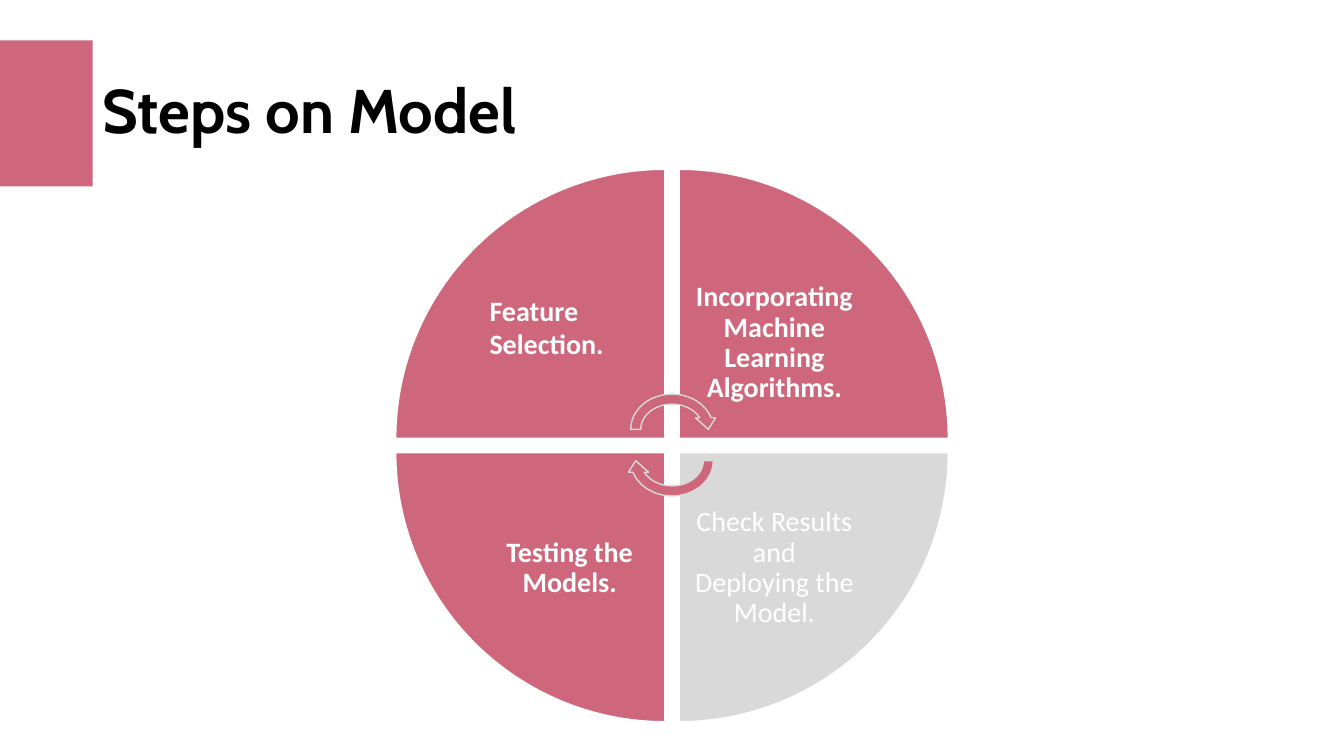
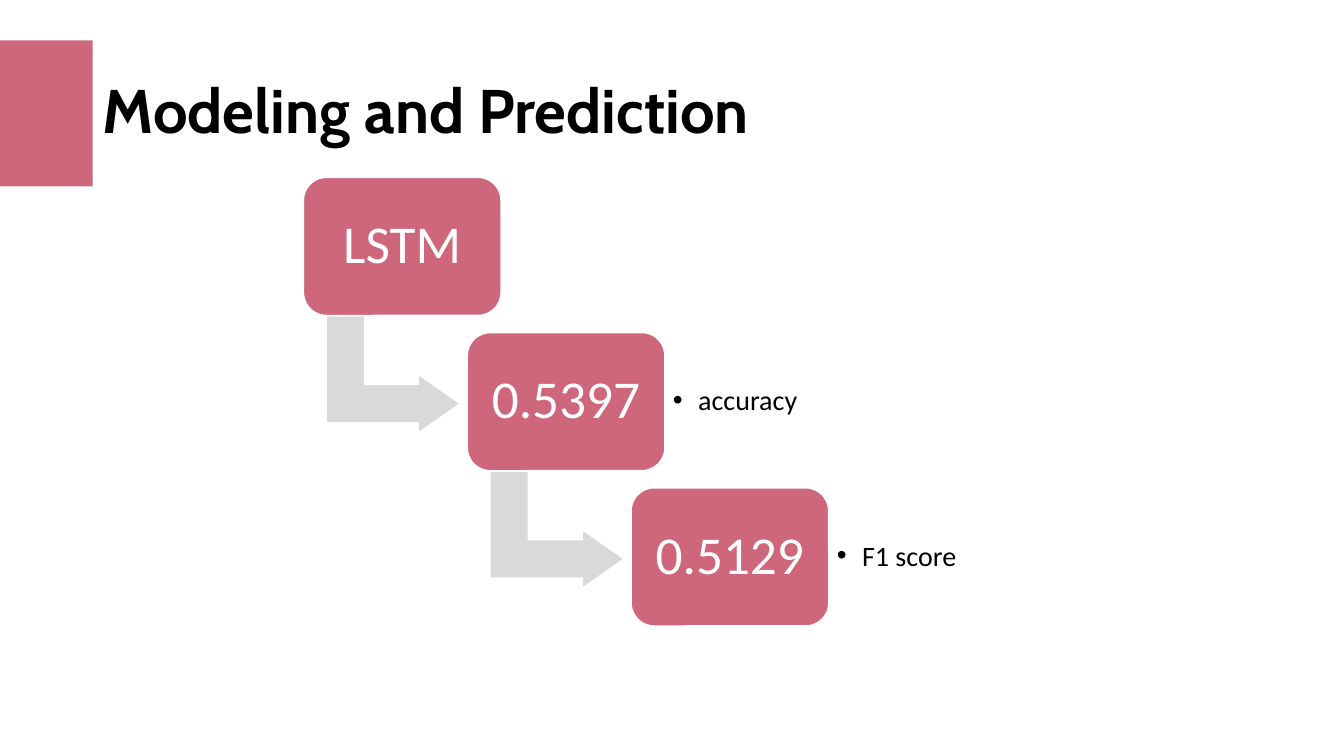
from pptx import Presentation
from pptx.dml.color import RGBColor
from pptx.enum.shapes import MSO_SHAPE as SHAPE
from pptx.enum.text import MSO_ANCHOR as ANCHOR, PP_ALIGN as ALIGN
from pptx.oxml.ns import qn
from pptx.util import Inches, Pt
from lxml.etree import SubElement

ROSE = RGBColor(0xCE, 0x67, 0x7C)
GREY = RGBColor(0xD9, 0xD9, 0xD9)
WHITE = RGBColor(0xFF, 0xFF, 0xFF)
BLACK = RGBColor(0, 0, 0)

WIDE, HIGH = 13.33, 7.5
BAND_TOP, BAND_HIGH, BAND_WIDE = 0.4, 1.45, 0.92

HEAD = {"name": "Cabin", "size": Pt(44), "bold": True}
BOLD = {"name": "Calibri", "size": Pt(20), "bold": True}
BODY = {"name": "Calibri", "size": Pt(20)}
BIG = {"name": "Calibri", "size": Pt(38)}


def draw(slide, kind, box, fill, line=None, turn=0):
    shape = slide.shapes.add_shape(kind, *map(Inches, box))
    shape.shadow.inherit = False
    shape.rotation = turn
    shape.fill.solid()
    shape.fill.fore_color.rgb = fill
    if line is None:
        shape.line.fill.background()
    else:
        shape.line.color.rgb = line
        shape.line.width = Pt(1)
    return shape


def write(shape, text, form, ink, align=ALIGN.CENTER, pads=(0.1, 0.05, 0.1, 0.05), space=0.9, mark=None):
    """Fill a shape with one paragraph; pads run left, top, right, bottom."""
    frame = shape.text_frame
    frame.word_wrap = True
    frame.vertical_anchor = ANCHOR.MIDDLE
    for side, pad in zip(("left", "top", "right", "bottom"), pads):
        setattr(frame, f"margin_{side}", Inches(pad))
    para = frame.paragraphs[0]
    para.alignment = align
    para.line_spacing = space
    if mark:
        props = para._p.get_or_add_pPr()
        props.set("marL", str(Inches(0.25)))
        props.set("indent", str(-Inches(0.25)))
        SubElement(props, qn("a:buFont"), typeface="Arial")
        SubElement(props, qn("a:buChar"), char=mark)
    run = para.add_run()
    run.text = text
    for key, value in form.items():
        setattr(run.font, key, value)
    run.font.color.rgb = ink


deck = Presentation()
deck.slide_width, deck.slide_height = Inches(WIDE), Inches(HIGH)

# Both slides: title and side band
slides = []
for title in ("Steps on Model", "Modeling and Prediction"):
    slide = deck.slides.add_slide(deck.slide_layouts[6])
    box = slide.shapes.add_textbox(*map(Inches, (BAND_WIDE, BAND_TOP, 11.5, BAND_HIGH)))
    write(box, title, HEAD, BLACK, ALIGN.LEFT)
    draw(slide, SHAPE.RECTANGLE, (0, BAND_TOP, BAND_WIDE, BAND_HIGH), ROSE)
    slides.append(slide)
steps, model = slides

# Wheel of four wedges around a centre
MID_X, MID_Y = WIDE / 2, 4.42
WEDGE, LABEL, HALF_GAP = 2.67, 1.89, 0.07
EVEN, LOW, RAISED = (0.15, 0.16, 0.15, 0.16), (0.15, 0.4, 0.15, 0), (0.15, 0, 0.15, 0.33)
wheel = [
    (0, 0, "Feature Selection.", ROSE, BOLD, ALIGN.LEFT, RAISED, 1.0),
    (1, 0, "Incorporating Machine Learning Algorithms.", ROSE, BOLD, ALIGN.CENTER, EVEN, 0.9),
    (1, 1, "Check Results and Deploying the Model.", GREY, BODY, ALIGN.CENTER, LOW, 0.9),
    (0, 1, "Testing the Models.", ROSE, BOLD, ALIGN.CENTER, LOW, 0.9),
]
for i, (col, row, text, fill, form, align, pads, space) in enumerate(wheel):
    spots = []
    for size in (WEDGE, LABEL):
        left = MID_X + (HALF_GAP if col else -HALF_GAP - size)
        top = MID_Y + (HALF_GAP if row else -HALF_GAP - size)
        spots.append((left, top, size, size))
    draw(steps, SHAPE.PIE_WEDGE, spots[0], fill, WHITE, 90 * i)
    label = steps.shapes.add_textbox(*map(Inches, spots[1]))
    write(label, text, form, WHITE, align, pads, space)

ARC_WIDE, ARC_HIGH = 0.92, 0.8
for top, turn in ((3.86, 0), (4.17, 180)):
    draw(steps, SHAPE.CIRCULAR_ARROW, (MID_X - ARC_WIDE / 2, top, ARC_WIDE, ARC_HIGH), ROSE, GREY, turn)

# Staircase of results
CARD_WIDE, CARD_HIGH = 1.96, 1.37
STEP_X, STEP_Y = 1.625, 1.54
stairs = [("LSTM", None), ("0.5397", "accuracy"), ("0.5129", "F1 score")]
for i, (value, name) in enumerate(stairs):
    left, top = 3.01 + i * STEP_X, 1.76 + i * STEP_Y
    if i < len(stairs) - 1:
        arrow = draw(model, SHAPE.BENT_UP_ARROW, (left + 0.31, top + 1.29, 1.16, 1.33), GREY, WHITE, 90)
        for k, ratio in enumerate((0.328, 0.25, 0.358)):
            arrow.adjustments[k] = ratio
    card = draw(model, SHAPE.ROUNDED_RECTANGLE, (left, top, CARD_WIDE, CARD_HIGH), ROSE, WHITE)
    card.adjustments[0] = 0.167
    write(card, value, BIG, WHITE)
    if name:
        note = model.shapes.add_textbox(*map(Inches, (left + CARD_WIDE, top + 0.13, 1.43, 1.11)))
        write(note, name, BODY, BLACK, ALIGN.LEFT, (0.08,) * 4, mark="•")

deck.save("out.pptx")
